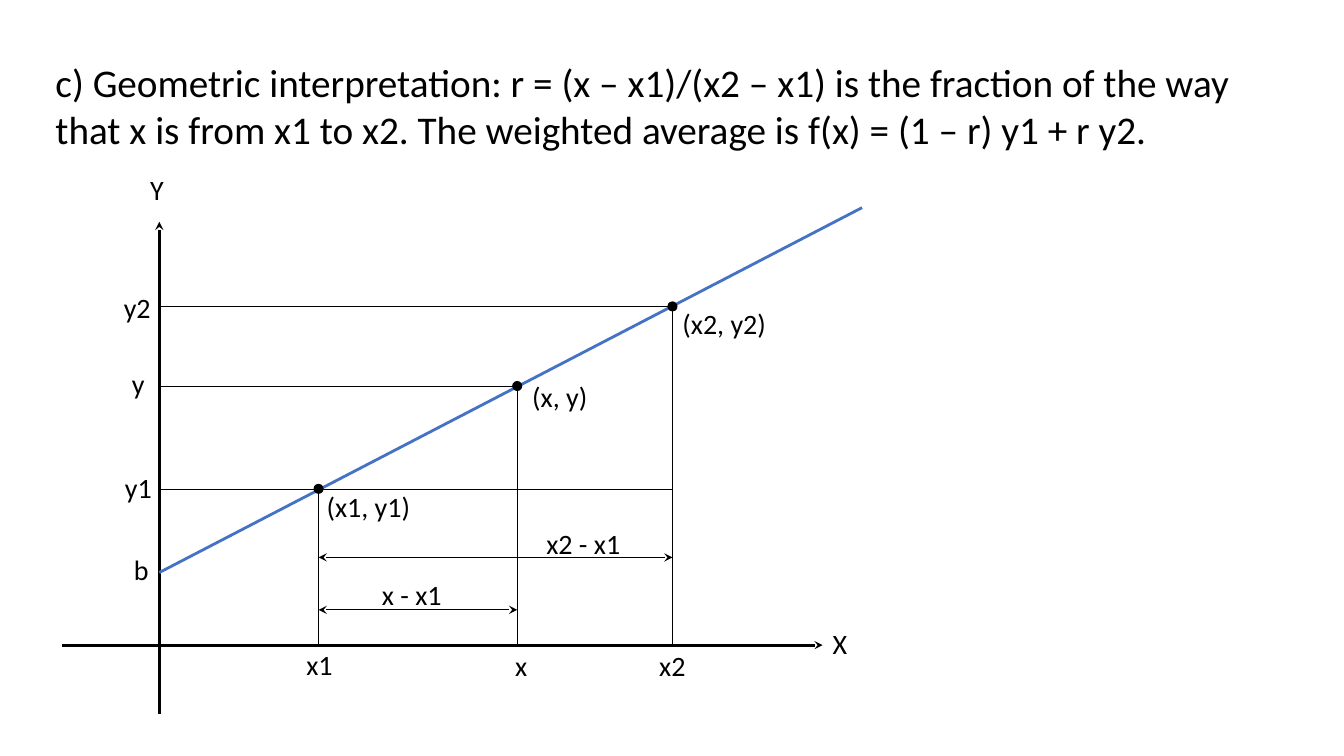
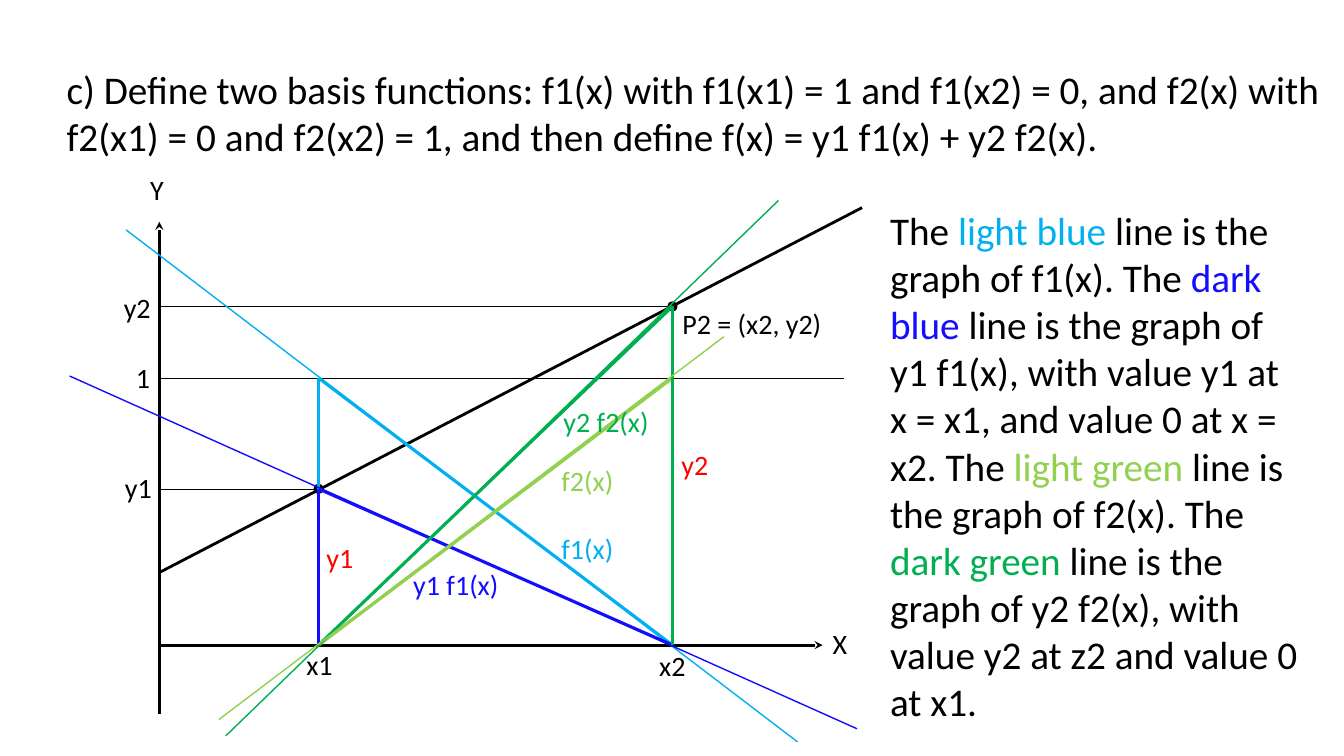
import lxml.etree
import pptx
import pptx.util
import pptx.dml.color
import pptx.enum.shapes
import pptx.enum.text
import pptx.oxml.ns

# Colours and type
BLACK, RED, BLUE = "000000", "FF0000", "4472C4"
LIGHT_BLUE, DARK_BLUE = "00B0F0", "150DFD"
LIGHT_GREEN, DARK_GREEN = "92D050", "00B050"
FONT, BIG, SMALL = "Calibri", 28, 20
THIN, GAUGE, EXTENDED, MEDIUM, THICK = 0.5, 0.75, 1, 2, 2.25

# Plot positions, in inches
AXIS_X, X1, X, X2 = 1.58, 3.16, 5.13, 6.67
BASE, Y1, Y, ONE, Y2 = 6.4, 4.85, 3.83, 3.75, 3.04
DOT = 0.1
LABEL_W, LABEL_H = 0.67, 0.44

# Shared content. Lines: start, end, colour, weight, arrowheads
AXES = [
    ((AXIS_X, 7.08), (AXIS_X, 2.2), BLACK, MEDIUM, ["tail"]),
    ((AXIS_X, BASE), (8.16, BASE), BLACK, MEDIUM, ["tail"]),
]
GRAPH = ((AXIS_X, 5.68), (8.55, 2.06))
GUIDES = [
    ((X2, Y2), (X2, BASE), BLACK, THIN),
    ((X2, Y2), (AXIS_X, Y2), BLACK, THIN),
    ((X1, Y1), (X1, BASE), BLACK, THIN),
]
# Labels: text, left, top, width, colour
AXIS_LABELS = [
    ("Y", 1.39, 1.66), ("X", 8.16, 6.17),
    ("y2", 1.13, 2.83), ("y1", 1.14, 4.62),
    ("x1", 2.94, 6.37), ("x2", 6.44, 6.38),
]

SLIDES = [
    {
        "title": "c) Geometric interpretation: r = (x – x1)/(x2 – x1) is the fraction "
                 "of the way that x is from x1 to x2. The weighted average is "
                 "f(x) = (1 – r) y1 + r y2.",
        "title_box": (0.45, 0.53, 12.56, 1.04),
        "graph_colour": BLUE,
        "under": [
            ((0.62, BASE), (AXIS_X, BASE), BLACK, MEDIUM),
            ((X2, Y1), (AXIS_X, Y1), BLACK, THIN),
            ((X, Y), (X, BASE), BLACK, THIN),
            ((X, Y), (AXIS_X, Y), BLACK, THIN),
            ((X1, 6.05), (X, 6.05), BLACK, GAUGE, ["head", "tail"]),
            ((X1, 5.53), (X2, 5.53), BLACK, GAUGE, ["head", "tail"]),
        ],
        "dots": [(X, Y), (X2, Y2), (X1, Y1)],
        "over": [],
        "labels": [
            ("y", 1.21, 3.59), ("x", 5.01, 6.38), ("b", 1.23, 5.43),
            ("(x2, y2)", 6.67, 2.99, 1.83), ("(x1, y1)", 3.14, 4.81, 1.61),
            ("(x, y)", 5.18, 3.72, 1.18),
            ("x - x1", 3.69, 5.68, 0.8), ("x2 - x1", 5.32, 5.17, 0.95),
        ],
    },
    {
        "title": "c) Define two basis functions: f1(x) with f1(x1) = 1 and f1(x2) = 0, "
                 "and f2(x) with f2(x1) = 0 and f2(x2) = 1, and then define "
                 "f(x) = y1 f1(x) + y2 f2(x).",
        "title_box": (0.56, 0.6, 12.78, 1.04),
        "graph_colour": BLACK,
        "under": [
            ((8.37, ONE), (AXIS_X, ONE), BLACK, THIN),
            ((X1, Y1), (AXIS_X, Y1), BLACK, THIN),
        ],
        "dots": [(X1, Y1), (X2, Y2)],
        "over": [
            ((X1, BASE), (X1, ONE), LIGHT_BLUE, THICK),
            ((X2, BASE), (X1, ONE), LIGHT_BLUE, THICK),
            ((1.25, 2.28), (7.91, 7.36), LIGHT_BLUE, EXTENDED),
            ((0.69, 3.73), (8.5, 7.23), DARK_BLUE, EXTENDED),
            ((X1, Y1), (X2, BASE), DARK_BLUE, THICK),
            ((X1, BASE), (X1, Y1), DARK_BLUE, THICK),
            ((X1, BASE), (X2, Y2), DARK_GREEN, THICK),
            ((X2, BASE), (X2, ONE), LIGHT_GREEN, THICK),
            ((X1, BASE), (X2, ONE), LIGHT_GREEN, THICK),
            ((X2, BASE), (X2, Y2), DARK_GREEN, THICK),
            ((2.24, 7.3), (7.72, 1.99), DARK_GREEN, EXTENDED),
            ((2.17, 7.14), (7.18, 3.34), LIGHT_GREEN, EXTENDED),
        ],
        "labels": [
            ("1", 1.25, 3.53), ("P2 = (x2, y2)", 6.67, 2.99, 1.83),
            ("y1", 3.14, 5.31, LABEL_W, RED), ("y2", 6.66, 4.39, LABEL_W, RED),
            ("y1 f1(x)", 4, 5.58, 1.61, DARK_BLUE),
            ("f1(x)", 5.47, 5.22, 1.61, LIGHT_BLUE),
            ("f2(x)", 5.47, 4.55, 1.61, LIGHT_GREEN),
            ("y2 f2(x)", 5.49, 3.96, 1.61, DARK_GREEN),
        ],
        "explanation": [
            ("The ", BLACK), ("light blue ", LIGHT_BLUE),
            ("line is the graph of f1(x). The ", BLACK), ("dark blue", DARK_BLUE),
            (" line is the graph of y1 f1(x), with value y1 at x = x1, "
             "and value 0 at x = x2. The ", BLACK),
            ("light green ", LIGHT_GREEN),
            ("line is the graph of f2(x). The ", BLACK),
            ("dark green ", DARK_GREEN),
            ("line is the graph of y2 f2(x), with value y2 at z2 "
             "and value 0 at x1.", BLACK),
        ],
    },
]
EXPLANATION_BOX = (8.73, 2, 4.26, 5.76)


def rgb(colour):
    return pptx.dml.color.RGBColor.from_string(colour)


def inches(values):
    return [pptx.util.Inches(value) for value in values]


def write(shape, runs, size):
    frame = shape.text_frame
    frame.word_wrap = True
    frame.vertical_anchor = pptx.enum.text.MSO_ANCHOR.TOP
    frame.auto_size = pptx.enum.text.MSO_AUTO_SIZE.SHAPE_TO_FIT_TEXT
    paragraph = frame.paragraphs[0]
    paragraph.alignment = pptx.enum.text.PP_ALIGN.LEFT
    for text, colour in runs:
        run = paragraph.add_run()
        run.text = text
        run.font.name = FONT
        run.font.size = pptx.util.Pt(size)
        run.font.color.rgb = rgb(colour)


def add_title(slide, text, box):
    title = slide.shapes.title
    title.left, title.top, title.width, title.height = inches(box)
    write(title, [(text, BLACK)], BIG)


def add_text(slide, runs, box, size):
    write(slide.shapes.add_textbox(*inches(box)), runs, size)


def add_label(slide, text, left, top, width=LABEL_W, colour=BLACK):
    add_text(slide, [(text, colour)], (left, top, width, LABEL_H), SMALL)


def add_line(slide, start, end, colour, weight, heads=()):
    connector = slide.shapes.add_connector(
        pptx.enum.shapes.MSO_CONNECTOR.STRAIGHT, *inches(start + end))
    connector.line.color.rgb = rgb(colour)
    connector.line.width = pptx.util.Pt(weight)
    qn = pptx.oxml.ns.qn
    properties = connector.element.find(qn("p:spPr"))
    outline = properties.find(qn("a:ln"))
    for end_name in heads:
        lxml.etree.SubElement(outline, qn(f"a:{end_name}End"), type="stealth")
    lxml.etree.SubElement(properties, qn("a:effectLst"))


def add_dot(slide, x, y):
    dot = slide.shapes.add_shape(
        pptx.enum.shapes.MSO_SHAPE.OVAL,
        *inches((x - DOT / 2, y - DOT / 2, DOT, DOT)))
    dot.shadow.inherit = False
    dot.fill.solid()
    dot.fill.fore_color.rgb = rgb(BLACK)
    dot.line.fill.background()


# Build the slides
deck = pptx.Presentation()
deck.slide_width, deck.slide_height = inches((13.33, 7.5))
title_only = deck.slide_layouts[5]

for content in SLIDES:
    slide = deck.slides.add_slide(title_only)
    add_title(slide, content["title"], content["title_box"])
    # Axes, guides and the interpolating line
    for line in AXES + GUIDES + content["under"]:
        add_line(slide, *line)
    add_line(slide, *GRAPH, content["graph_colour"], MEDIUM)
    # Known points, then the basis functions over them
    for point in content["dots"]:
        add_dot(slide, *point)
    for line in content["over"]:
        add_line(slide, *line)
    # Text
    for label in AXIS_LABELS + content["labels"]:
        add_label(slide, *label)
    if "explanation" in content:
        add_text(slide, content["explanation"], EXPLANATION_BOX, BIG)

deck.save("out.pptx")
